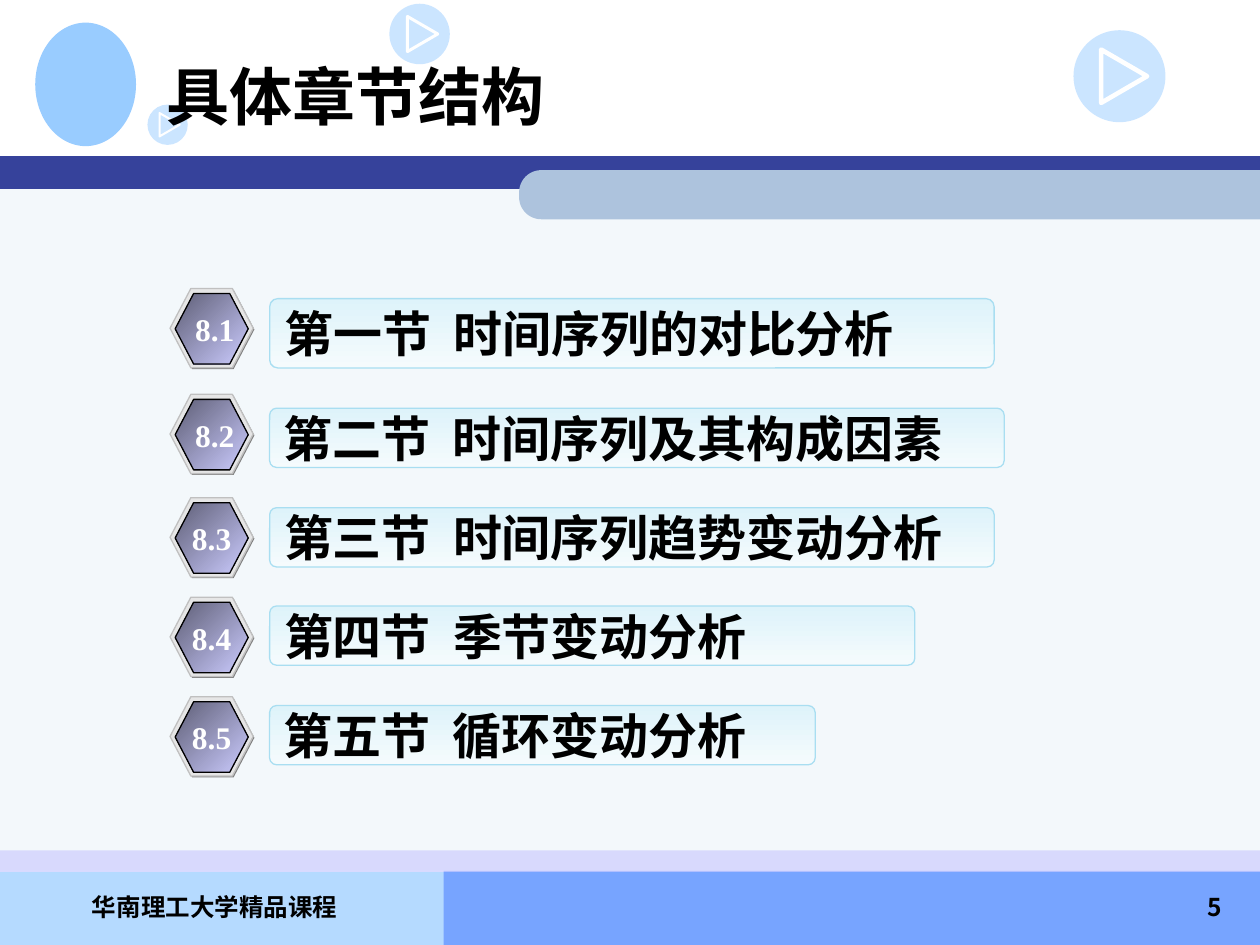
"""Build the chapter-structure slide with five numbered section bars."""
import pptx
import pptx.dml.color
import pptx.enum.shapes
import pptx.enum.text
import pptx.oxml.ns
import pptx.util
from lxml import etree

SHAPE = pptx.enum.shapes.MSO_SHAPE
ALIGN = pptx.enum.text.PP_ALIGN
ANCHOR = pptx.enum.text.MSO_ANCHOR
WIDTH, HEIGHT = 10, 7.5
SANS, SERIF = "Noto Sans CJK SC", "Times New Roman"

TITLE = "具体章节结构"
FOOTER, PAGE = "华南理工大学精品课程", "5"
# number, heading, badge top, bar top, bar width, bar height, label left inset
SECTIONS = [
    ("8.1", "第一节  时间序列的对比分析", 2.29, 2.37, 5.75, 0.55, 0.05),
    ("8.2", "第二节  时间序列及其构成因素", 3.13, 3.24, 5.83, 0.47, 0.05),
    ("8.3", "第三节  时间序列趋势变动分析", 3.95, 4.03, 5.75, 0.47, 0),
    ("8.4", "第四节  季节变动分析", 4.74, 4.81, 5.12, 0.47, 0),
    ("8.5", "第五节  循环变动分析", 5.53, 5.6, 4.33, 0.47, 0),
]
BANDS = [
    (0, 6.92, 4.25, 0.58, "B5DAFF"),
    (3.52, 6.91, 6.48, 0.59, "77A4FF"),
    (0, 1.4, WIDTH, 5.51, "F3F8FB"),
    (0, 1.24, WIDTH, 0.26, "36429B"),
    (0, 6.75, WIDTH, 0.17, "CCCCFF"),
]
FOOTER_LEFT = BANDS[0]
FOOTER_STRIP = BANDS[-1]
PLAY_BADGES = [(3.09, 0.03, 0.48), (8.52, 0.24, 0.73), (1.17, 0.83, 0.32)]
TAB = (4.12, 1.35, 5.88, 0.39)
EMBLEM = (0.28, 0.18, 0.8, 0.98)
BADGE_LEFT, BAR_LEFT = 1.35, 2.14
# offset, width, height, fill, line
HEX_LAYERS = [
    (0.01, 0.66, 0.63, "808080", None),
    (0, 0.66, 0.63, "E6E6E6", "C0C0C0"),
    (0.04, 0.58, 0.56, ("5E5E76", "CCCCFF", 315), "000000"),
]


def rgb(value):
    """Turn a hex string into a colour."""
    return pptx.dml.color.RGBColor.from_string(value)


def box(left, top, width, height):
    """Convert inches to lengths."""
    return [pptx.util.Inches(v) for v in (left, top, width, height)]


def add_shape(s, kind, at, fill=None, line=None, weight=0.75, alpha=None):
    """Add a flat shape with a solid, gradient or absent fill."""
    sp = s.shapes.add_shape(kind, *box(*at))
    sp.shadow.inherit = False
    if fill is None:
        sp.fill.background()
    elif isinstance(fill, tuple):
        sp.fill.gradient()
        sp.fill.gradient_angle = fill[2]
        for stop, color, position in zip(sp.fill.gradient_stops, fill, (0, 1)):
            stop.color.rgb = rgb(color)
            stop.position = position
    else:
        sp.fill.solid()
        sp.fill.fore_color.rgb = rgb(fill)
    if alpha:
        color = sp._element.spPr.find(".//" + pptx.oxml.ns.qn("a:srgbClr"))
        etree.SubElement(color, pptx.oxml.ns.qn("a:alpha")).set("val", str(alpha * 1000))
    if line:
        sp.line.color.rgb = rgb(line)
        sp.line.width = pptx.util.Pt(weight)
    else:
        sp.line.fill.background()
    return sp


def write(sp, text, size, font=SANS, color="000000", align=ALIGN.LEFT, anchor=ANCHOR.MIDDLE, wrap=True):
    """Write one bold line of text."""
    tf = sp.text_frame
    tf.text = text
    tf.word_wrap = wrap
    tf.auto_size = pptx.enum.text.MSO_AUTO_SIZE.NONE
    tf.vertical_anchor = anchor
    p = tf.paragraphs[0]
    p.alignment = align
    r = p.runs[0]
    r.font.name, r.font.size, r.font.bold = font, pptx.util.Pt(size), True
    r.font.color.rgb = rgb(color)
    east = etree.Element(pptx.oxml.ns.qn("a:ea"), typeface=SANS)
    r._r.rPr.find(pptx.oxml.ns.qn("a:latin")).addnext(east)


def add_play_badge(s, left, top, size):
    """Add a pale disc with a white play triangle."""
    add_shape(s, SHAPE.OVAL, (left, top, size, size), "99CCFF", alpha=50)
    base, depth = 0.58 * size, 0.5 * size
    at = (left + 0.55 * size - base / 2, top + (size - depth) / 2, base, depth)
    add_shape(s, SHAPE.ISOSCELES_TRIANGLE, at, None, "FFFFFF", 3.6 * size).rotation = 90


def add_background(s):
    """Add the bands, the tab, the emblem and the play badges."""
    for band in BANDS:
        add_shape(s, SHAPE.RECTANGLE, band[:4], band[4], alpha=69 if band is FOOTER_STRIP else None)
    left, top, width, height = TAB
    turned = (left + (width - height) / 2, top + (height - width) / 2, height, width)
    tab = add_shape(s, SHAPE.ROUND_2_SAME_RECTANGLE, turned, "ADC3DD")
    tab.adjustments[0] = 0.45
    tab.rotation = 270
    add_shape(s, SHAPE.OVAL, EMBLEM, "99CCFF")
    for badge in PLAY_BADGES:
        add_play_badge(s, *badge)


def add_section(s, number, heading, badge_top, bar_top, width, height, inset):
    """Add a numbered hexagon and its heading bar."""
    bar = add_shape(s, SHAPE.ROUNDED_RECTANGLE, (BAR_LEFT, bar_top, width, height),
                    ("DEF3FA", "F5FBFD", 270), "A9DEF1")
    bar.adjustments[0] = 0.117
    write(bar, heading, 28)
    for offset, w, h, fill, line in HEX_LAYERS:
        sp = add_shape(s, SHAPE.HEXAGON, (BADGE_LEFT + offset, badge_top + offset, w, h), fill, line)
        sp.adjustments[0] = 0.262
    write(sp, number, 18, SERIF, "FFFFFF", ALIGN.CENTER, wrap=False)
    sp.text_frame.margin_left = pptx.util.Inches(inset)
    sp.text_frame.margin_right = 0


def main():
    """Build and save the slide."""
    prs = pptx.Presentation()
    prs.slide_width, prs.slide_height = pptx.util.Inches(WIDTH), pptx.util.Inches(HEIGHT)
    s = prs.slides.add_slide(prs.slide_layouts[5])
    add_background(s)
    title = s.shapes.title
    title._element.getparent().append(title._element)
    title.left, title.top, title.width, title.height = box(1.22, 0.17, 8.5, 1.17)
    write(title, TITLE, 36, SERIF)
    for text, left, width, font, align in (
        (FOOTER, 0.12, 3.17, "Noto Sans CJK KR", ALIGN.CENTER),
        (PAGE, 7.72, 2.08, SANS, ALIGN.RIGHT),
    ):
        sp = s.shapes.add_textbox(*box(left, 7.03, width, 0.47))
        write(sp, text, 14, font, align=align, anchor=ANCHOR.TOP)
    for section in SECTIONS:
        add_section(s, *section)
    prs.save("out.pptx")


if __name__ == "__main__":
    main()
